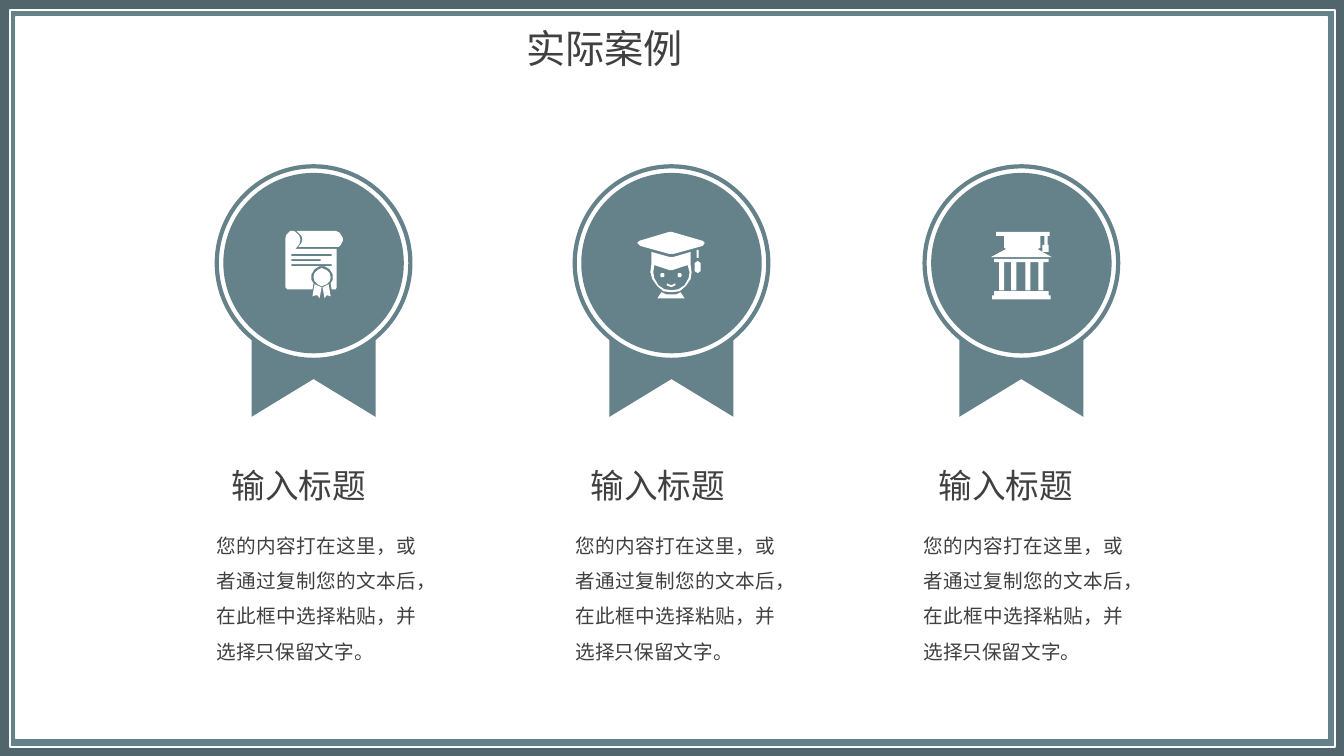
from pptx import Presentation
from pptx.dml.color import RGBColor
from pptx.enum.shapes import MSO_SHAPE
from pptx.enum.text import MSO_ANCHOR, MSO_AUTO_SIZE, PP_ALIGN
from pptx.util import Inches, Pt

RECT = MSO_SHAPE.RECTANGLE
OVAL = MSO_SHAPE.OVAL
CHEVRON = MSO_SHAPE.CHEVRON
SLATE, DARK, WHITE, INK = "658189", "50666C", "FFFFFF", "404040"
FONT = "Noto Sans CJK SC"
UNIT = Inches(0.01)  # icons are drawn in hundredths of an inch
BADGE_Y = 2.61
HEADING = "输入标题"
BODY = "您的内容打在这里，或者通过复制您的文本后，在此框中选择粘贴，并选择只保留文字。"


def paint(shape, fill, line=None, width=1):
    shape.shadow.inherit = False
    shape.fill.solid()
    shape.fill.fore_color.rgb = RGBColor.from_string(fill)
    if line:
        shape.line.color.rgb = RGBColor.from_string(line)
        shape.line.width = Pt(width)
    else:
        shape.line.fill.background()


def write(holder, box, text, size, spacing=None):
    """Place a text holder and fill it with one justified run."""
    holder.left, holder.top, holder.width, holder.height = map(Inches, box)
    frame = holder.text_frame
    frame.word_wrap = True
    frame.auto_size = MSO_AUTO_SIZE.SHAPE_TO_FIT_TEXT
    frame.vertical_anchor = MSO_ANCHOR.TOP
    paragraph = frame.paragraphs[0]
    paragraph.alignment = PP_ALIGN.JUSTIFY
    paragraph.line_spacing = spacing
    run = paragraph.add_run()
    run.text = text
    run.font.size = Pt(size)
    run.font.name = FONT
    run.font.color.rgb = RGBColor.from_string(INK)
    # East Asian glyphs take their font from a:ea
    rpr = run.font._element
    latin = rpr.find("{http://schemas.openxmlformats.org/drawingml/2006/main}latin")
    east_asian = latin.makeelement(latin.tag.replace("latin", "ea"), {"typeface": FONT})
    latin.addnext(east_asian)


# Contours measured from the badge centre: lists of points, or left, top, right,
# bottom of a bar. A contour inside another one is a hole.
certificate = [
    # Sheet with a bay for the seal, then the roll on top
    [(-20, -32), (-18, -31), (-14, -27), (-13, -23), (-14, -19), (-18, -14), (23, -14),
     (23, 24), (22, 26), (18, 26), (17, 20), (19, 17), (19, 11), (16, 6), (11, 3),
     (6, 3), (1, 6), (-2, 11), (-2, 17), (0, 20), (-1, 26), (-26, 26), (-28, 24),
     (-28, -24), (-27, -28), (-23, -32)],
    [(-17, -32), (22, -32), (26, -30), (29, -25), (29, -22), (27, -18), (25, -16),
     (-15, -16), (-12, -20), (-11, -23), (-12, -27)],
    (-22, -9, 18, -7),
    (-22, -4, 7, -2),
    (-22, 1, 18, 3),
    # Seal and its two ribbons
    [(8, 5), (13, 7), (16, 10), (17, 14), (16, 18), (13, 21), (8, 23), (4, 21),
     (1, 18), (0, 14), (1, 10), (4, 7)],
    [(1, 21), (8, 24), (6, 35), (4, 32), (2, 32), (-1, 33)],
    [(15, 21), (17, 33), (14, 32), (13, 32), (11, 35), (9, 24)],
]
graduate = [
    # Cap, then head with the face cut out
    [(0, -31), (31, -22), (33, -20), (31, -17), (2, -9), (-2, -9), (-31, -17),
     (-34, -20), (-32, -22), (-2, -31)],
    [(-20, -11), (-2, -6), (2, -6), (19, -11), (19, 2), (20, 9), (19, 16), (14, 23),
     (8, 28), (0, 29), (-8, 28), (-14, 23), (-19, 16), (-21, 9), (-20, 2)],
    [(-17, 2), (-2, 7), (1, 7), (16, 2), (18, 9), (17, 15), (13, 22), (7, 26),
     (0, 27), (-7, 26), (-13, 22), (-17, 15), (-18, 9)],
    *[[(eye - 1, 10), (eye + 1, 10), (eye + 2, 11), (eye + 2, 13), (eye + 1, 14),
       (eye - 1, 14), (eye - 2, 13), (eye - 2, 11)] for eye in (-9, 8)],
    [(-4, 20), (-3, 21), (0, 22), (2, 21), (4, 20), (4, 22), (0, 24), (-5, 22)],
    [(-10, 29), (-5, 31), (5, 31), (9, 29), (13, 35), (-14, 35)],
    # Tassel
    (25, -13, 27, -5),
    [(26, -2), (29, 0), (29, 8), (26, 10), (23, 8), (23, 0)],
]
academy = [
    [(-30, -6), (-15, -14), (-17, -15), (-17, -27), (-25, -27), (-25, -31), (28, -31),
     (28, -27), (26, -27), (26, -18), (27, -18), (27, -11), (21, -11), (30, -6)],
    [(19, -27), (23, -27), (23, -18), (21, -18), (21, -11), (16, -14), (19, -15)],
    (-27, -4, 27, -1),
    *[(column, -1, column + 5, 27) for column in (-22, -10, 4, 17)],
    [(-27, 28), (27, 28), (27, 32), (29, 32), (29, 36), (-29, 36), (-29, 32), (-27, 32)],
]

prs = Presentation()
prs.slide_width, prs.slide_height = Inches(13.33), Inches(7.5)
slide = prs.slides.add_slide(prs.slide_layouts[5])
title = slide.shapes.title

# Nested frame, sent behind the title
for box, fill, line in (((0, 0, 13.33, 7.5), DARK, None),
                        ((0.1, 0.1, 13.14, 7.31), SLATE, WHITE),
                        ((0.16, 0.17, 13.01, 7.16), WHITE, WHITE)):
    border = slide.shapes.add_shape(RECT, *map(Inches, box))
    paint(border, fill, line)
    title._element.addprevious(border._element)

write(title, (5.12, 0.19, 3.09, 0.57), "实际案例", 28)

for center, text_left, icon in ((3.11, 2.05, certificate), (6.66, 5.61, graduate),
                                (10.13, 9.06, academy)):
    badge = slide.shapes.add_group_shape().shapes
    ribbon = badge.add_shape(CHEVRON, Inches(center - 0.69), Inches(2.83),
                             Inches(1.38), Inches(1.23))
    ribbon.adjustments[0] = 0.305
    ribbon.rotation = 270
    paint(ribbon, SLATE)
    for diameter, fill, line in ((1.92, WHITE, SLATE), (1.79, SLATE, None)):
        disc = badge.add_shape(OVAL, Inches(center - diameter / 2),
                               Inches(BADGE_Y - diameter / 2),
                               Inches(diameter), Inches(diameter))
        paint(disc, fill, line, 3)

    outline = slide.shapes.build_freeform(*icon[0][0], scale=UNIT)
    for contour in icon:
        if isinstance(contour, tuple):
            left, top, right, bottom = contour
            contour = [(left, top), (right, top), (right, bottom), (left, bottom)]
        if contour is not icon[0]:
            outline.move_to(*contour[0])
        outline.add_line_segments(contour[1:], close=True)
    paint(outline.convert_to_shape(Inches(center), Inches(BADGE_Y)), WHITE)

    for box, text, size, spacing in (
            ((text_left + 0.15, 4.56, 1.87, 0.5), HEADING, 24, None),
            ((text_left, 5.13, 2.18, 1.47), BODY, 14, 1.5)):
        write(slide.shapes.add_textbox(0, 0, 0, 0), box, text, size, spacing)

prs.save("out.pptx")
